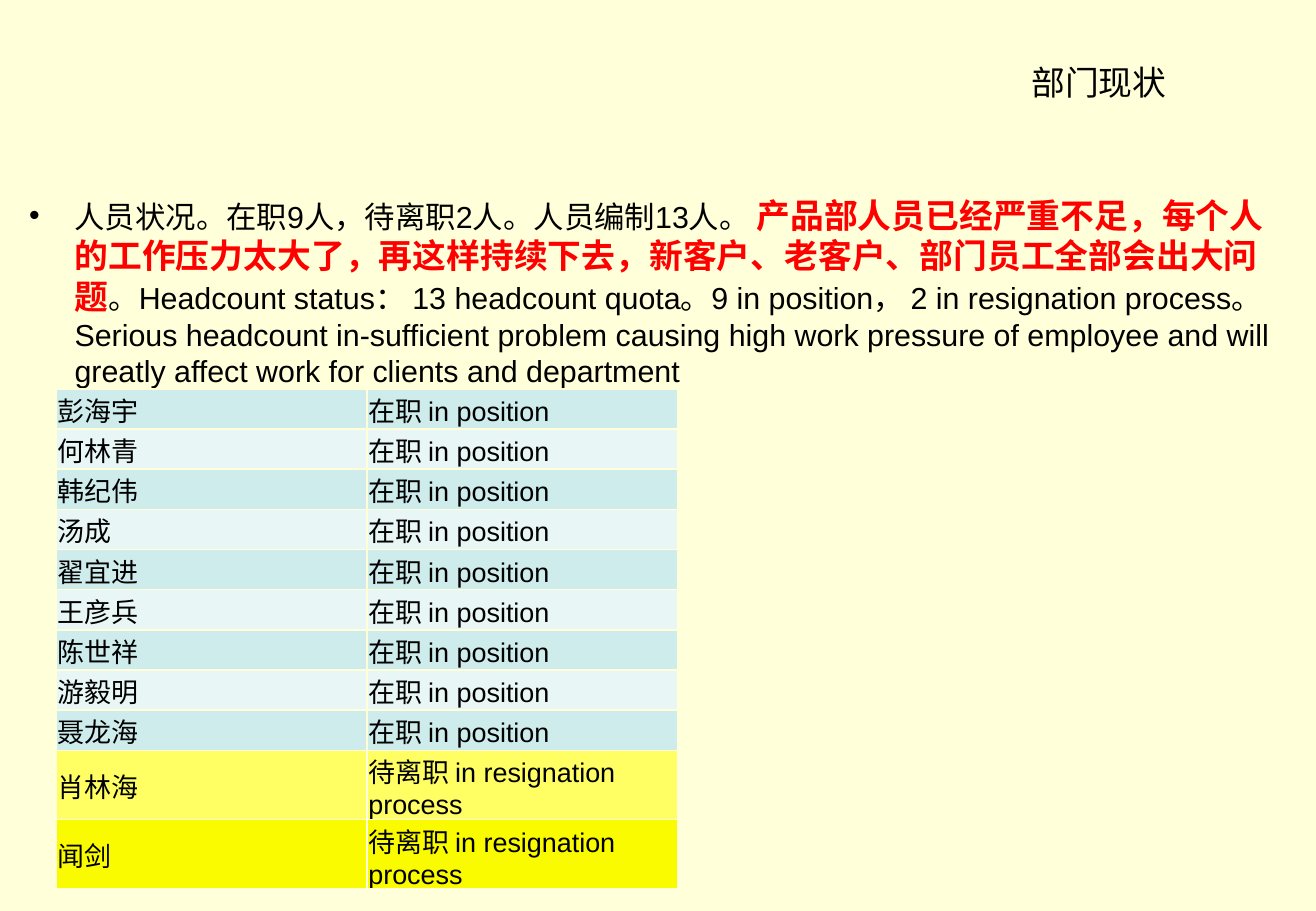
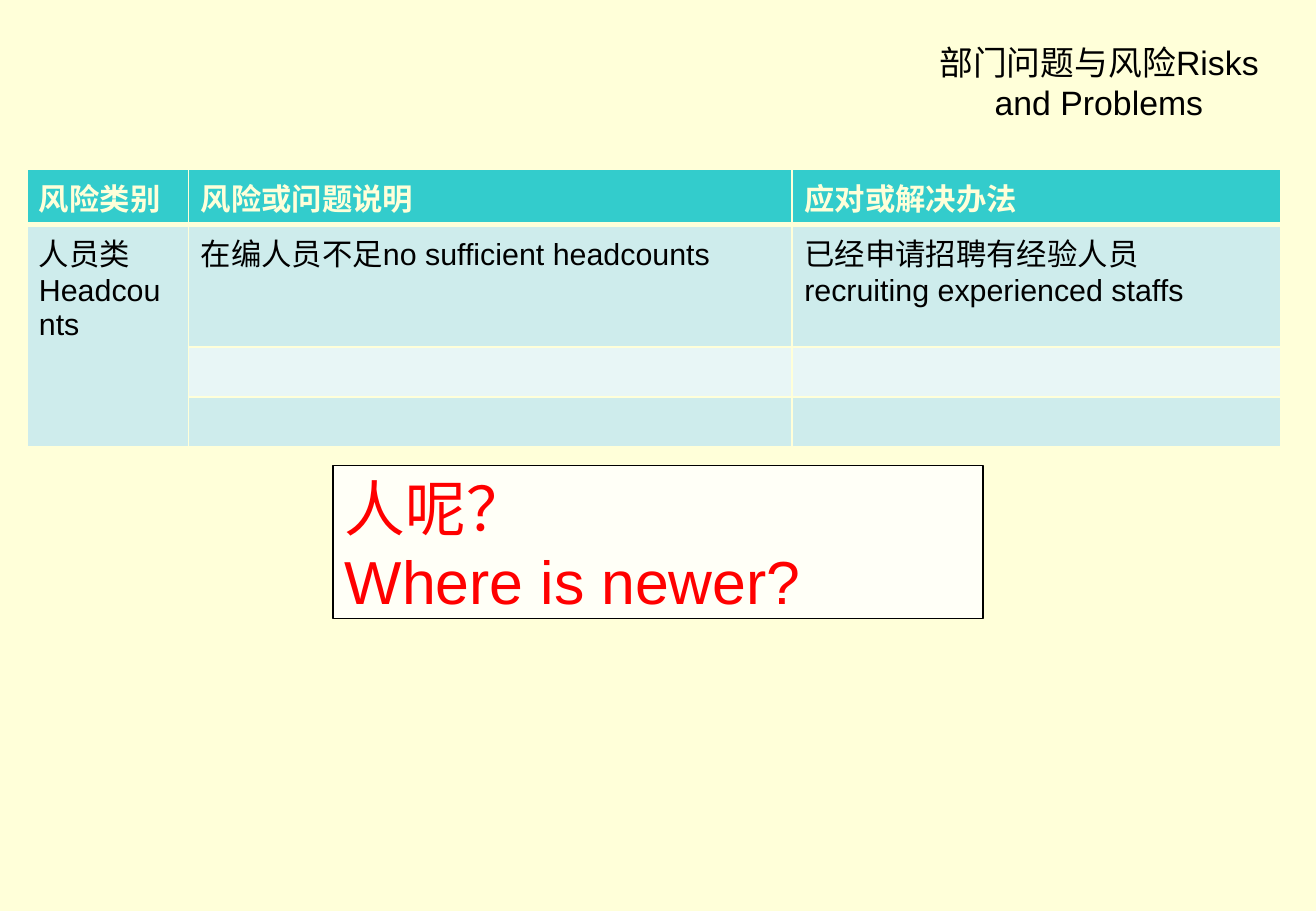
"""Builds two slides on department staffing and its risks."""
from lxml.etree import SubElement
from pptx import Presentation
from pptx.dml.color import RGBColor
from pptx.enum.shapes import MSO_SHAPE as Shape
from pptx.enum.text import MSO_ANCHOR as Anchor, PP_ALIGN as Align
from pptx.oxml.ns import qn
from pptx.util import Cm, Pt

HUES = {
    "page": "FFFFD9", "ink": "000000", "red": "FF0000", "teal": "33CCCC",
    "mint": "CEECEC", "pale": "E8F6F6", "lemon": "FFFF63", "gold": "FBFB00",
    "card": "FFFFF7",
}
FONT = "Arial"
TITLES = ["部门现状", "部门问题与风险Risks and Problems"]
STATUS = [
    ("人员状况。在职9人，待离职2人。人员编制13人。 ", {}),
    ("产品部人员已经严重不足，每个人的工作压力太大了，再这样持续下去，"
     "新客户、老客户、部门员工全部会出大问题",
     {"size": 20, "hue": "red", "bold": True}),
    ("。Headcount status： 13 headcount quota。9 in position， "
     "2 in resignation process。Serious headcount in-sufficient problem "
     "causing high work pressure of employee and will greatly affect "
     "work for clients and department", {}),
]
STAFF = ["彭海宇", "何林青", "韩纪伟", "汤成", "翟宜进", "王彦兵",
         "陈世祥", "游毅明", "聂龙海"]
LEAVERS = [("肖林海", "lemon"), ("闻剑", "gold")]
STAY, LEAVE = "在职 in position", "待离职 in resignation process"
RISKS = [
    ("风险类别", "风险或问题说明", "应对或解决办法"),
    ("人员类Headcounts", "在编人员不足no sufficient headcounts",
     "已经申请招聘有经验人员 recruiting experienced staffs"),
    ("", "", ""),
    ("", "", ""),
]
ASK = ["人呢？", "Where is newer?"]


def rgb(hue):
    return RGBColor.from_string(HUES[hue])


def write(frame, paras, size=18, hue="ink", bold=False, align=Align.LEFT):
    frame.word_wrap = True
    for i, runs in enumerate(paras):
        para = frame.paragraphs[0] if i == 0 else frame.add_paragraph()
        para.alignment = align
        para.font.size = Pt(size)
        for text, own in [(runs, {})] if isinstance(runs, str) else runs:
            if not text:
                continue
            run = para.add_run()
            run.text = text
            font = run.font
            font.name = FONT
            font.size = Pt(own.get("size", size))
            font.bold = own.get("bold", bold)
            font.color.rgb = rgb(own.get("hue", hue))


def add_page(title):
    page = deck.slides.add_slide(deck.slide_layouts[6])
    frame = page.shapes.add_textbox(
        Cm(18.77), Cm(0.33), Cm(8.41), Cm(2.77)).text_frame
    frame.vertical_anchor = Anchor.MIDDLE
    write(frame, [title], size=20, align=Align.CENTER)
    return page


def add_grid(page, left, top, cols, rows):
    grid = page.shapes.add_table(
        len(rows), len(cols), Cm(left), Cm(top),
        Cm(sum(cols)), Cm(sum(rows))).table
    for col, wide in zip(grid.columns, cols):
        col.width = Cm(wide)
    for row, tall in zip(grid.rows, rows):
        row.height = Cm(tall)
    return grid


def paint(cell, hue, top=1, bottom=1):
    props = cell._tc.get_or_add_tcPr()
    for side, wide in zip("LRTB", (1, 1, top, bottom)):
        line = SubElement(props, qn(f"a:ln{side}"), w=str(Pt(wide)))
        fill = SubElement(line, qn("a:solidFill"))
        SubElement(fill, qn("a:srgbClr"), val=HUES["page"])
    cell.fill.solid()
    cell.fill.fore_color.rgb = rgb(hue)


def band(i):
    return ("mint", "pale")[i % 2]


def show_staff():
    page = add_page(TITLES[0])
    frame = page.shapes.add_textbox(
        Cm(0.36), Cm(3.94), Cm(26.8), Cm(12.01)).text_frame
    write(frame, [STATUS])
    para = frame.paragraphs[0]
    para.space_before = Pt(3.6)
    props = para._p.get_or_add_pPr()
    props.set("marL", str(Cm(0.95)))
    props.set("indent", str(-Cm(0.95)))
    SubElement(props, qn("a:buFont"), typeface=FONT)
    SubElement(props, qn("a:buChar"), char="•")

    rows = [(name, STAY, band(i)) for i, name in enumerate(STAFF)]
    rows += [(name, LEAVE, hue) for name, hue in LEAVERS]
    talls = [0.84] * len(STAFF) + [1.45] * len(LEAVERS)
    grid = add_grid(page, 1.17, 8.13, [6.5, 6.5], talls)
    for r, (name, state, hue) in enumerate(rows):
        for c, text in enumerate((name, state)):
            cell = grid.cell(r, c)
            cell.margin_left = cell.margin_right = cell.margin_top = Cm(0.03)
            cell.margin_bottom = 0
            cell.vertical_anchor = Anchor.MIDDLE
            write(cell.text_frame, [text], size=16)
            paint(cell, hue)


def show_risks():
    page = add_page(TITLES[1])
    grid = add_grid(page, 0.56, 3.53, [3.38, 12.62, 10.21],
                    [1.16, 2.57, 1.04, 1.04])
    for r, row in enumerate(RISKS):
        head = r == 0
        for c, text in enumerate(row):
            cell = grid.cell(r, c)
            write(cell.text_frame, [text], bold=head,
                  hue="page" if head else "ink")
            paint(cell, "teal" if head else band(r - 1),
                  top=3 if r == 1 else 1, bottom=3 if head else 1)
    grid.cell(1, 0).merge(grid.cell(3, 0))

    card = page.shapes.add_shape(
        Shape.RECTANGLE, Cm(6.96), Cm(9.73), Cm(13.59), Cm(3.2))
    card.shadow.inherit = False
    card.fill.solid()
    card.fill.fore_color.rgb = rgb("card")
    card.line.color.rgb = rgb("ink")
    card.line.width = Pt(0.75)
    card.text_frame.vertical_anchor = Anchor.TOP
    write(card.text_frame, ASK, size=36, hue="red")


deck = Presentation()
deck.slide_width, deck.slide_height = Cm(27.51), Cm(19.05)
back = deck.slide_master.background.fill
back.solid()
back.fore_color.rgb = rgb("page")
show_staff()
show_risks()
deck.save("out.pptx")
